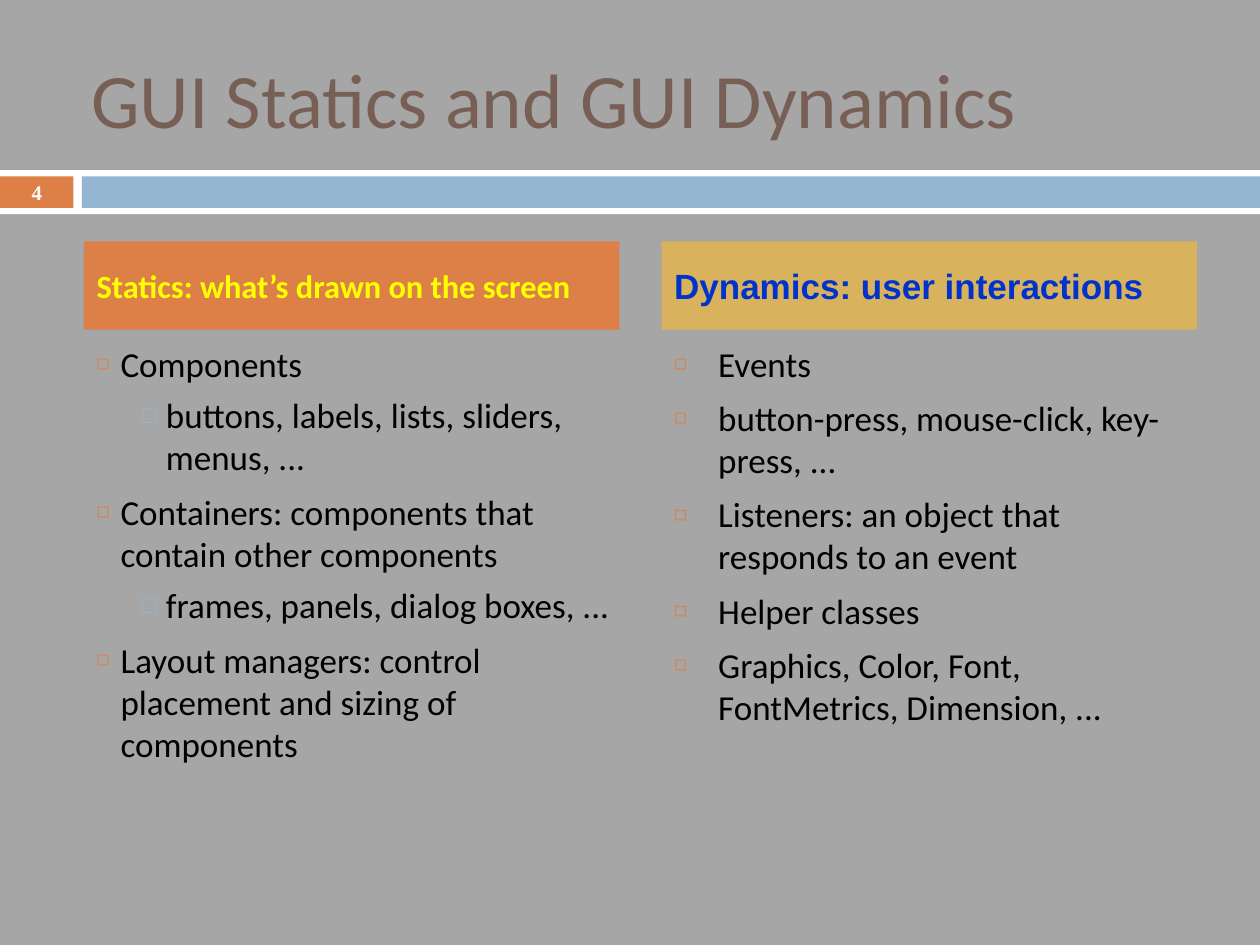
from lxml.etree import SubElement
from pptx import Presentation
from pptx.dml.color import RGBColor
from pptx.enum.shapes import MSO_SHAPE
from pptx.enum.text import MSO_ANCHOR, MSO_AUTO_SIZE, PP_ALIGN
from pptx.oxml.ns import qn
from pptx.util import Inches, Pt

COLORS = {
    "background": "A6A6A6", "white": "FFFFFF", "black": "000000",
    "orange": "DD8047", "blue": "94B6D2", "gold": "D8B25C",
    "brown": "775F55", "yellow": "FFFF00", "royal": "0033CC",
}
CELL = Inches(1) / 12
TITLE_BOX = (7, 3.6, 107, 11.4)
BAND_BOX = (0, 16.2, 120, 4.2)
COLUMN_LEFTS, COLUMN_TOP, COLUMN_WIDTH = (8, 63), 23, 51
HEADING_ROWS, LIST_OFFSET, LIST_ROWS = 8.4, 9, 47
BULLETS = [("◻", "orange", 60, 7), ("□", "blue", 70, 5.5)]

COLUMNS = [
    {
        "heading": "Statics: what’s drawn on the screen",
        "style": ("Calibri", 18.5, "yellow", True), "fill": "orange",
        "indents": [(0.19, 0.19), (0.55, 0.19)], "right_inset": 0.04,
        "items": [
            (0, "Components"),
            (1, "buttons, labels, lists, sliders, menus, ..."),
            (0, "Containers: components that contain other components"),
            (1, "frames, panels, dialog boxes, ..."),
            (0, "Layout managers: control placement and sizing of components"),
        ],
    },
    {
        "heading": "Dynamics: user interactions",
        "style": ("Arial", 20, "royal", True), "fill": "gold",
        "indents": [(0.35, 0.35)], "right_inset": 0.1,
        "items": [
            (0, "Events"),
            (0, "button-press, mouse-click, key-press, ..."),
            (0, "Listeners: an object that responds to an event"),
            (0, "Helper classes"),
            (0, "Graphics, Color, Font, FontMetrics, Dimension, ..."),
        ],
    },
]


def color(name):
    """Return the named colour."""
    return RGBColor.from_string(COLORS[name])


def grid(*cells):
    """Turn grid cells into lengths."""
    return [round(cell * CELL) for cell in cells]


def place(shape, box):
    """Move a shape to a box on the grid."""
    shape.left, shape.top, shape.width, shape.height = grid(*box)


def prepare(shape, anchor, right_inset=0.1):
    """Set up the text frame of a shape and return it."""
    frame = shape.text_frame
    frame.word_wrap = True
    frame.auto_size = MSO_AUTO_SIZE.NONE
    frame.vertical_anchor = anchor
    frame.margin_left, frame.margin_right = Inches(0.1), Inches(right_inset)
    frame.margin_top = frame.margin_bottom = Inches(0.05)
    return frame


def write(para, text, style, align=PP_ALIGN.LEFT, before=0):
    """Write one paragraph in a font, size, colour and weight."""
    para.text = text
    para.alignment = align
    para.space_before = Pt(before)
    para.font.name, size, shade, para.font.bold = style
    para.font.size = Pt(size)
    para.font.color.rgb = color(shade)


def add_bullet(para, level, margin, hang):
    """Give a paragraph its indent and bullet."""
    character, shade, percent, _ = BULLETS[level]
    para.level = level
    props = para._p.get_or_add_pPr()
    props.set("marL", str(Inches(margin)))
    props.set("indent", str(-Inches(hang)))
    SubElement(SubElement(props, qn("a:buClr")), qn("a:srgbClr"), val=COLORS[shade])
    SubElement(props, qn("a:buSzPct"), val=str(percent * 1000))
    SubElement(props, qn("a:buChar"), char=character)


def add_bar(page, box, shade):
    """Add a plain filled rectangle."""
    bar = page.shapes.add_shape(MSO_SHAPE.RECTANGLE, *grid(*box))
    bar.shadow.inherit = False
    bar.fill.solid()
    bar.fill.fore_color.rgb = color(shade)
    bar.line.fill.background()
    return bar


def add_band(page, box, number):
    """Add the white band with its number tab and blue bar."""
    left, top, width, height = box
    inner_top, inner_height, tab, bar_left = top + 0.6, 3, 7, 7.8
    add_bar(page, box, "white")
    add_bar(page, (left + bar_left, inner_top, width - bar_left, inner_height), "blue")
    number_tab = add_bar(page, (left, inner_top, tab, inner_height), "orange")
    frame = prepare(number_tab, MSO_ANCHOR.MIDDLE)
    frame.margin_top = frame.margin_bottom = 0
    write(frame.paragraphs[0], number, ("Times New Roman", 11.9, "white", True), PP_ALIGN.CENTER)


def fill_title(title, box, text):
    """Place and write the slide title."""
    place(title, box)
    para = prepare(title, MSO_ANCHOR.MIDDLE, 0.04).paragraphs[0]
    para._p.get_or_add_pPr().set("marL", str(Inches(0.04)))
    write(para, text, ("Calibri", 44, "brown", False))


def fill_column(heading, body, left, top, column):
    """Fill a heading and the list beneath it."""
    place(heading, (left, top, COLUMN_WIDTH, HEADING_ROWS))
    heading.fill.solid()
    heading.fill.fore_color.rgb = color(column["fill"])
    frame = prepare(heading, MSO_ANCHOR.MIDDLE)
    write(frame.paragraphs[0], column["heading"], column["style"])

    place(body, (left, top + LIST_OFFSET, COLUMN_WIDTH, LIST_ROWS))
    frame = prepare(body, MSO_ANCHOR.TOP, column["right_inset"])
    for index, (level, text) in enumerate(column["items"]):
        para = frame.add_paragraph() if index else frame.paragraphs[0]
        add_bullet(para, level, *column["indents"][level])
        before = BULLETS[level][3] if index else 0
        write(para, text, ("Calibri", 20, "black", False), before=before)


def main():
    """Build and save the slide."""
    deck = Presentation()
    deck.slide_width, deck.slide_height = grid(120, 90)
    page = deck.slides.add_slide(deck.slide_layouts.get_by_name("Comparison"))
    page.background.fill.solid()
    page.background.fill.fore_color.rgb = color("background")
    fill_title(page.shapes.title, TITLE_BOX, "GUI Statics and GUI Dynamics")
    slots = list(page.placeholders)[1:]
    for heading, body, left, column in zip(slots[::2], slots[1::2], COLUMN_LEFTS, COLUMNS):
        fill_column(heading, body, left, COLUMN_TOP, column)
    add_band(page, BAND_BOX, "4")
    deck.save("out.pptx")


if __name__ == "__main__":
    main()
